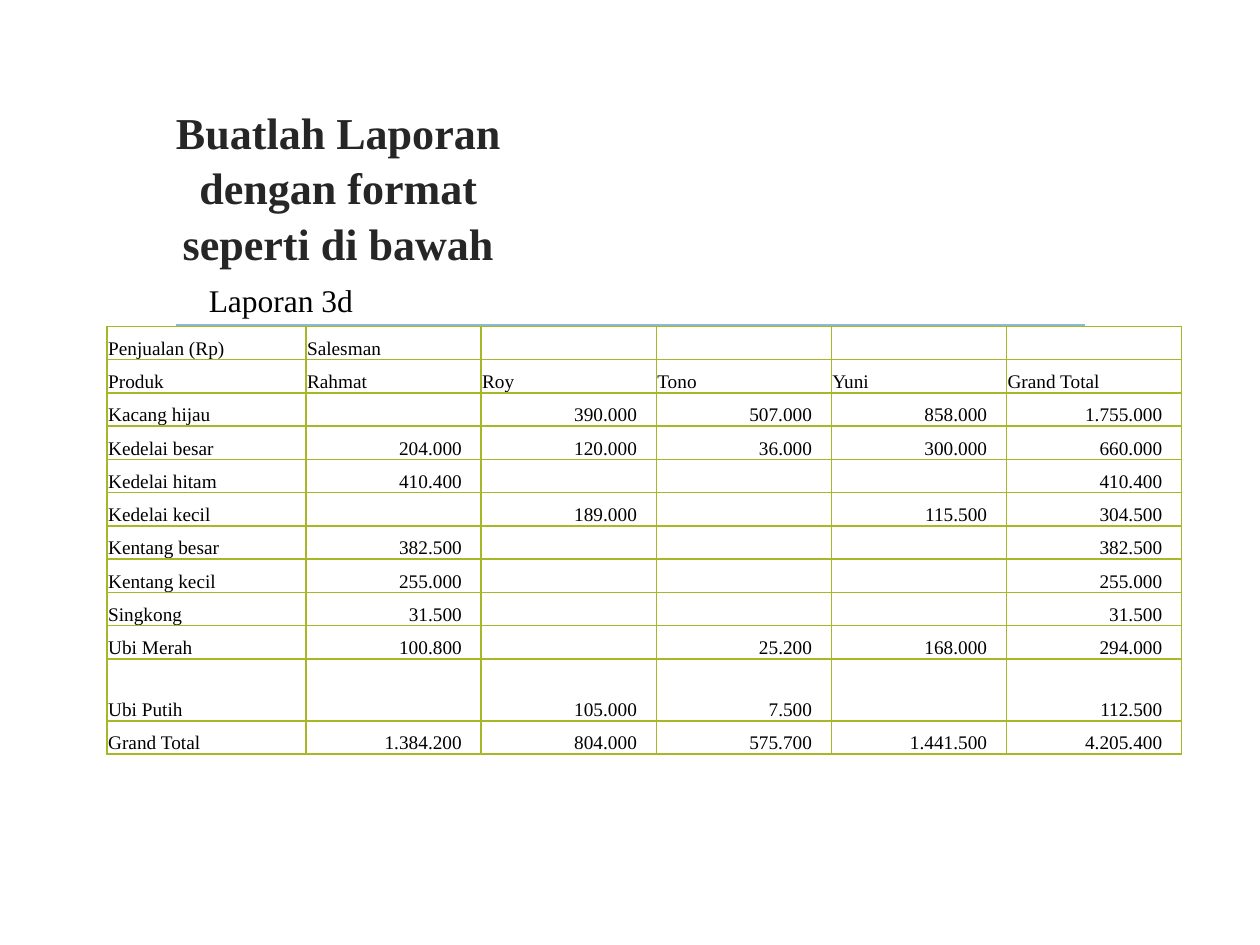
from lxml.etree import SubElement
from pptx import Presentation
from pptx.dml.color import RGBColor
from pptx.enum.shapes import MSO_CONNECTOR as Connector
from pptx.enum.text import MSO_ANCHOR as Anchor, MSO_AUTO_SIZE as AutoSize, PP_ALIGN as Align
from pptx.oxml.ns import qn
from pptx.util import Cm, Pt

FONT = "Times New Roman"
BORDER_COLOR = "A6B727"
NUMBER_MARGIN = 0.39
COLUMN_WIDTHS = [4.01] + [3.53] * 5
ROW_HEIGHT = 0.67
TALL_ROWS = {"Ubi Putih": 1.25}
REPORT = [
    ["Penjualan (Rp)", "Salesman", "", "", "", ""],
    ["Produk", "Rahmat", "Roy", "Tono", "Yuni", "Grand Total"],
    ["Kacang hijau", "", "390.000", "507.000", "858.000", "1.755.000"],
    ["Kedelai besar", "204.000", "120.000", "36.000", "300.000", "660.000"],
    ["Kedelai hitam", "410.400", "", "", "", "410.400"],
    ["Kedelai kecil", "", "189.000", "", "115.500", "304.500"],
    ["Kentang besar", "382.500", "", "", "", "382.500"],
    ["Kentang kecil", "255.000", "", "", "", "255.000"],
    ["Singkong", "31.500", "", "", "", "31.500"],
    ["Ubi Merah", "100.800", "", "25.200", "168.000", "294.000"],
    ["Ubi Putih", "", "105.000", "7.500", "", "112.500"],
    ["Grand Total", "1.384.200", "804.000", "575.700", "1.441.500", "4.205.400"],
]


def color(value):
    return RGBColor.from_string(value)


def set_format(target, values):
    for name, value in values.items():
        setattr(target, name, value)


def write_text(paragraph, text, size, text_color="000000", bold=False):
    run = paragraph.add_run()
    run.text = text
    set_format(run.font, {"name": FONT, "size": Pt(size), "bold": bold})
    run.font.color.rgb = color(text_color)


def add_title(slide, box):
    shape = slide.shapes.add_textbox(*map(Cm, box))
    set_format(shape.text_frame, {"word_wrap": True, "vertical_anchor": Anchor.MIDDLE})
    paragraph = shape.text_frame.paragraphs[0]
    set_format(paragraph, {"alignment": Align.CENTER, "line_spacing": 1.05})
    write_text(paragraph, "Buatlah Laporan dengan format seperti di bawah", 25.2, "262626", True)


def add_caption(slide, box):
    shape = slide.shapes.add_textbox(*map(Cm, box))
    set_format(shape.text_frame, {"word_wrap": True, "auto_size": AutoSize.SHAPE_TO_FIT_TEXT})
    write_text(shape.text_frame.paragraphs[0], "Laporan 3d", 18)


def add_rule(slide, left, top, width):
    rule = slide.shapes.add_connector(
        Connector.STRAIGHT, Cm(left), Cm(top), Cm(left + width), Cm(top))
    rule.line.color.rgb = color("8ABAD4")
    rule.line.width = Pt(1.25)
    SubElement(rule._element.spPr, qn("a:effectLst"))


def add_borders(cell):
    properties = cell._tc.get_or_add_tcPr()
    for side in ("lnL", "lnR", "lnT", "lnB"):
        line = SubElement(properties, qn(f"a:{side}"), w=str(Pt(1)))
        fill = SubElement(line, qn("a:solidFill"))
        SubElement(fill, qn("a:srgbClr"), val=BORDER_COLOR)


def fill_cell(cell, text):
    is_number = text[:1].isdigit()
    set_format(cell, {
        "vertical_anchor": Anchor.BOTTOM,
        "margin_left": Cm(0.02),
        "margin_right": Cm(NUMBER_MARGIN if is_number else 0.02),
        "margin_top": Cm(0.02),
        "margin_bottom": Cm(0),
    })
    add_borders(cell)
    cell.fill.background()
    paragraph = cell.text_frame.paragraphs[0]
    paragraph.alignment = Align.RIGHT if is_number else Align.LEFT
    if text:
        write_text(paragraph, text, 11)
    else:
        SubElement(paragraph._p, qn("a:endParaRPr"), sz="1100")


def add_report(slide, left, top):
    heights = [TALL_ROWS.get(row[0], ROW_HEIGHT) for row in REPORT]
    box = left, top, sum(COLUMN_WIDTHS), sum(heights)
    table = slide.shapes.add_table(len(REPORT), len(COLUMN_WIDTHS), *map(Cm, box)).table
    set_format(table, {"first_row": False, "horz_banding": False})
    for column, width in zip(table.columns, COLUMN_WIDTHS):
        column.width = Cm(width)
    for row, height, texts in zip(table.rows, heights, REPORT):
        row.height = Cm(height)
        for cell, text in zip(row.cells, texts):
            fill_cell(cell, text)


def main():
    presentation = Presentation()
    set_format(presentation, {"slide_width": Cm(25.4), "slide_height": Cm(19.05)})
    slide = presentation.slides.add_slide(presentation.slide_layouts[6])
    add_rule(slide, 3.55, 6.55, 18.32)
    add_title(slide, (3.15, 1.93, 7.34, 3.63))
    add_caption(slide, (3.96, 5.54, 4.65, 1.02))
    add_report(slide, 2.16, 6.58)
    presentation.save("out.pptx")


if __name__ == "__main__":
    main()
